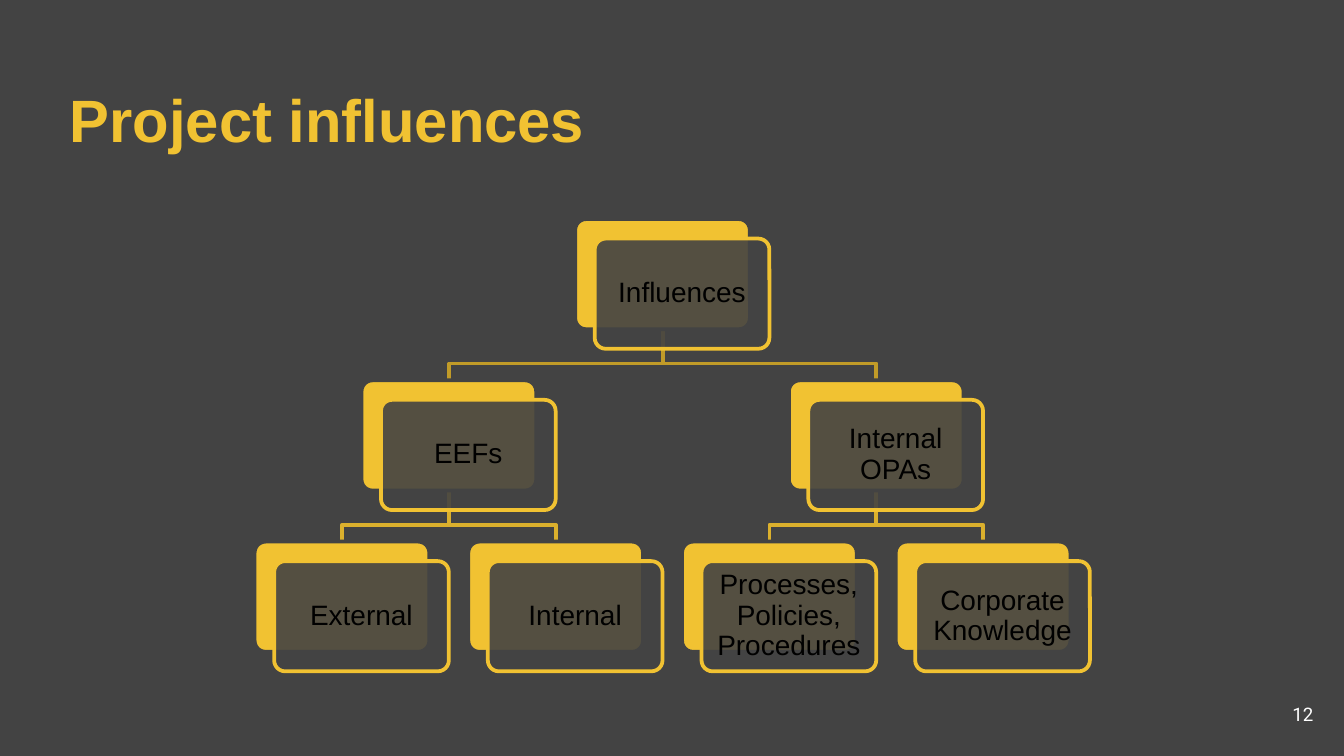
import pptx
import pptx.util
import pptx.dml.color
import pptx.enum.shapes
import pptx.enum.text
from dataclasses import dataclass
from lxml import etree
from typing import Optional

PX = 4572  # EMU per px, 200 px to the inch
COLORS = {
    "background": "434343",
    "accent": "F1C232",
    "link1": "C19B28",
    "link2": "DBB02D",
    "text": "000000",
    "number": "FFFFFF",
}

# Tree grid
LEFT, TOP = 379, 326
HALF_COLUMN, ROW = 159, 240
CARD_W, CARD_H = 260, 164
OFFSET = 29
ELBOW = 51
INSET = 12

MIDDLE = pptx.enum.text.MSO_ANCHOR.MIDDLE


@dataclass
class Node:
    text: str
    column: int  # in half columns
    level: int
    parent: Optional["Node"] = None

    @property
    def x(self) -> int:
        return LEFT + self.column * HALF_COLUMN

    @property
    def y(self) -> int:
        return TOP + self.level * ROW


root = Node("Influences", 3, 0)
eefs = Node("EEFs", 1, 1, root)
opas = Node("Internal OPAs", 5, 1, root)
NODES = [
    root,
    eefs,
    Node("External", 0, 2, eefs),
    Node("Internal", 2, 2, eefs),
    opas,
    Node("Processes, Policies, Procedures", 4, 2, opas),
    Node("Corporate Knowledge", 6, 2, opas),
]


def px(n: int) -> pptx.util.Emu:
    return pptx.util.Emu(n * PX)


def rgb(name: str) -> pptx.dml.color.RGBColor:
    return pptx.dml.color.RGBColor.from_string(COLORS[name])


def set_frame(tf, inset: int, anchor) -> None:
    tf.word_wrap = True
    tf.auto_size = pptx.enum.text.MSO_AUTO_SIZE.NONE
    tf.vertical_anchor = anchor
    tf.margin_left = tf.margin_right = px(inset)
    tf.margin_top = tf.margin_bottom = px(inset)


def write(tf, text: str, size: int, font: str, color: str, align, bold=False) -> None:
    p = tf.paragraphs[0]
    p.text = text
    p.alignment = align
    p.font.size = pptx.util.Pt(size)
    p.font.name = font
    p.font.bold = bold
    p.font.color.rgb = rgb(color)


def set_line(sp, color: str) -> None:
    sp.shadow.inherit = False
    sp.line.color.rgb = rgb(color)
    sp.line.width = pptx.util.Pt(2)


def draw_link(shapes, node: Node) -> None:
    x1, y1 = node.parent.x + CARD_W // 2, node.parent.y + CARD_H
    x2, bend = node.x + CARD_W // 2, y1 + ELBOW
    builder = shapes.build_freeform(x1, y1, scale=PX)
    builder.add_line_segments([(x1, bend), (x2, bend), (x2, node.y)], close=False)
    sp = builder.convert_to_shape()
    sp.fill.background()
    set_line(sp, f"link{node.level}")


def draw_card(shapes, x: int, y: int, fill: str, line: str):
    sp = shapes.add_shape(pptx.enum.shapes.MSO_SHAPE.ROUNDED_RECTANGLE,
                          px(x), px(y), px(CARD_W), px(CARD_H))
    sp.adjustments[0] = 0.1
    sp.fill.solid()
    sp.fill.fore_color.rgb = rgb(fill)
    set_line(sp, line)
    return sp


def draw_node(shapes, node: Node) -> None:
    draw_card(shapes, node.x, node.y, "accent", "background")
    sp = draw_card(shapes, node.x + OFFSET, node.y + OFFSET, "background", "accent")
    # Front card is 90% opaque
    ns = "{http://schemas.openxmlformats.org/drawingml/2006/main}"
    color = sp._element.spPr.find(f"{ns}solidFill/{ns}srgbClr")
    etree.SubElement(color, f"{ns}alpha", val="90000")
    tf = sp.text_frame
    set_frame(tf, INSET, MIDDLE)
    write(tf, node.text, 15, "Arial", "text", pptx.enum.text.PP_ALIGN.CENTER)
    tf.paragraphs[0].line_spacing = 0.9


def main() -> None:
    prs = pptx.Presentation()
    prs.slide_width, prs.slide_height = px(2000), px(1125)
    s = prs.slides.add_slide(prs.slide_layouts[5])
    s.background.fill.solid()
    s.background.fill.fore_color.rgb = rgb("background")

    # Title
    title = s.shapes.title
    title.left, title.top, title.width, title.height = px(84), px(100), px(1830), px(150)
    set_frame(title.text_frame, 20, pptx.enum.text.MSO_ANCHOR.BOTTOM)
    write(title.text_frame, "Project influences", 32, "Arial", "accent",
          pptx.enum.text.PP_ALIGN.LEFT, bold=True)

    # Links lie behind the cards, the top level in front of the lower one
    for node in sorted(NODES, key=lambda n: -n.level):
        if node.parent:
            draw_link(s.shapes, node)
    for node in NODES:
        draw_node(s.shapes, node)

    # Slide number
    number = s.shapes.add_textbox(px(1854), px(1020), px(120), px(86))
    set_frame(number.text_frame, 20, MIDDLE)
    write(number.text_frame, "12", 10, "Roboto", "number", pptx.enum.text.PP_ALIGN.RIGHT)

    prs.save("out.pptx")


if __name__ == "__main__":
    main()
